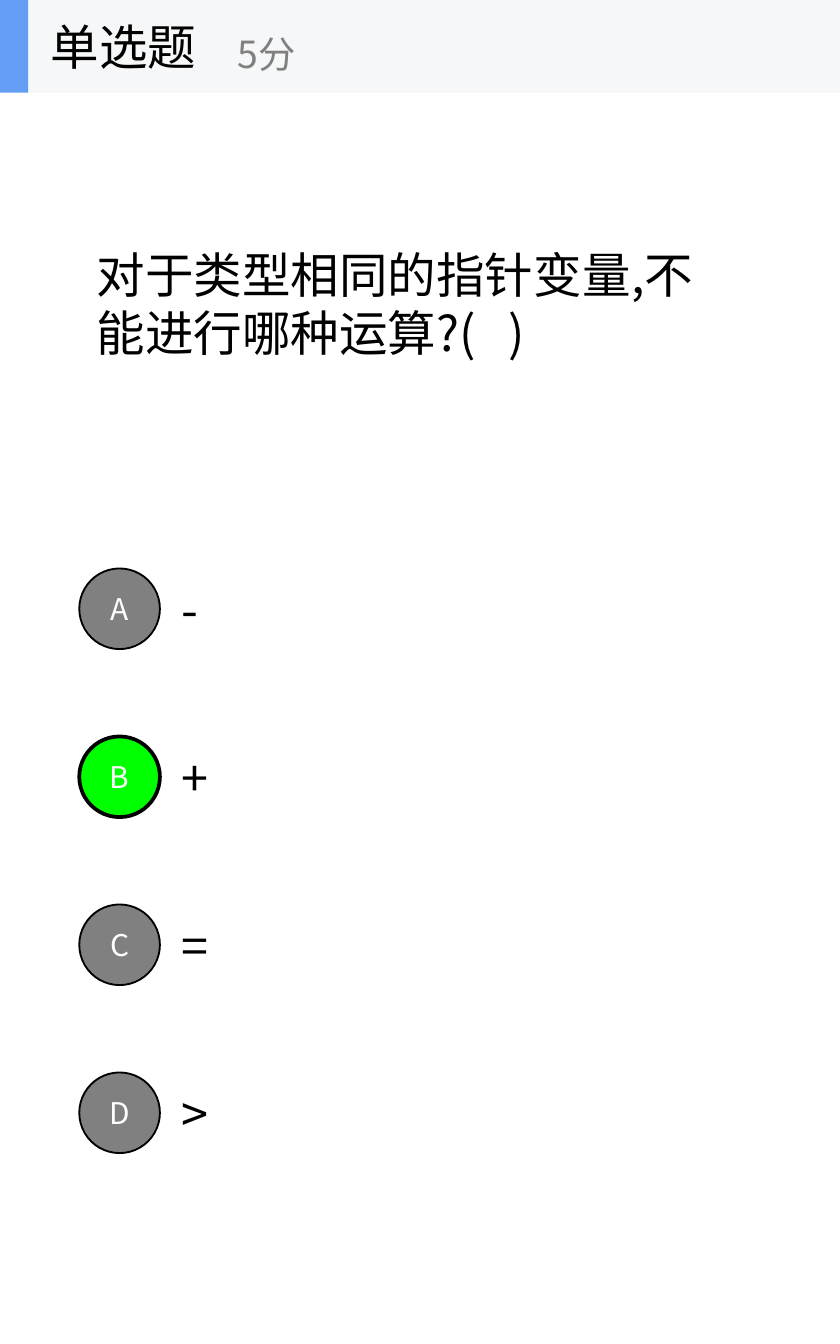
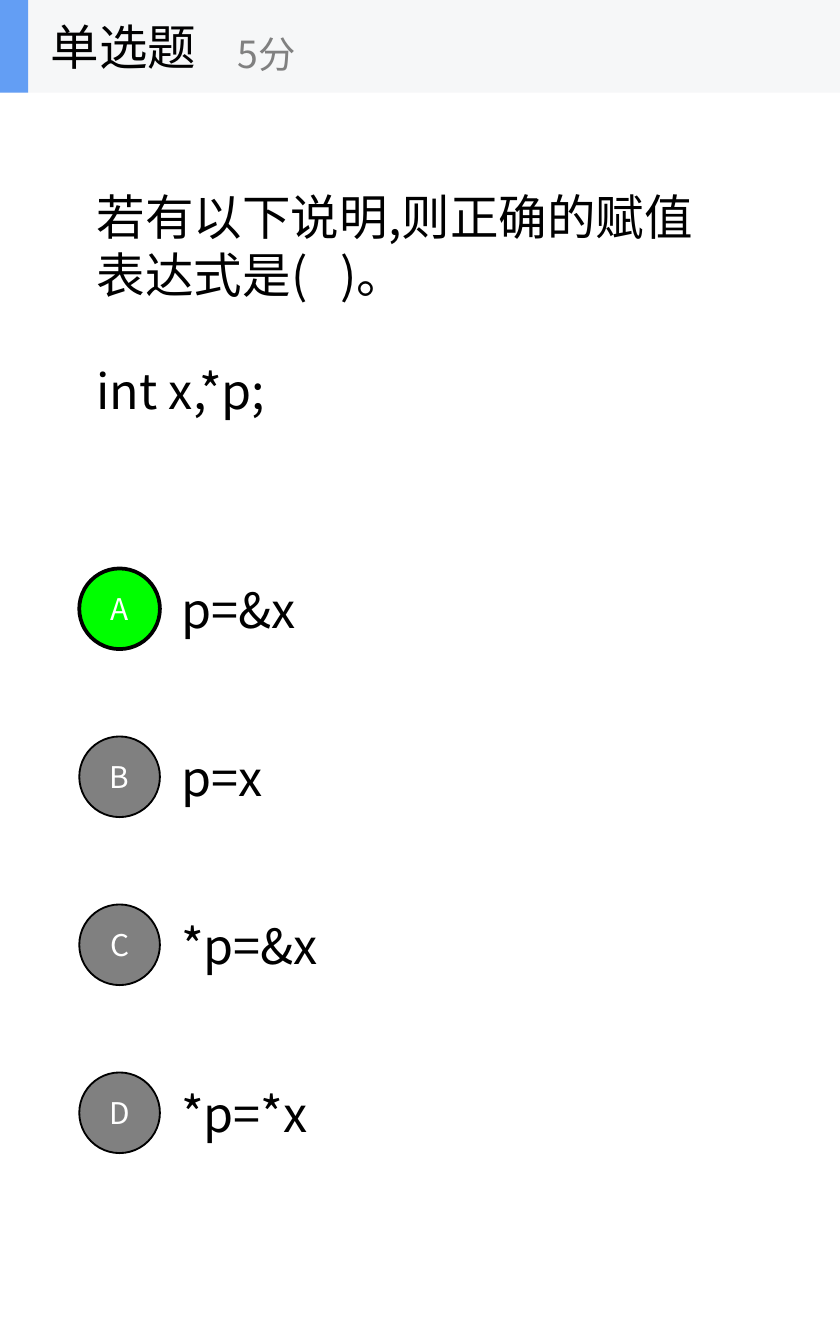
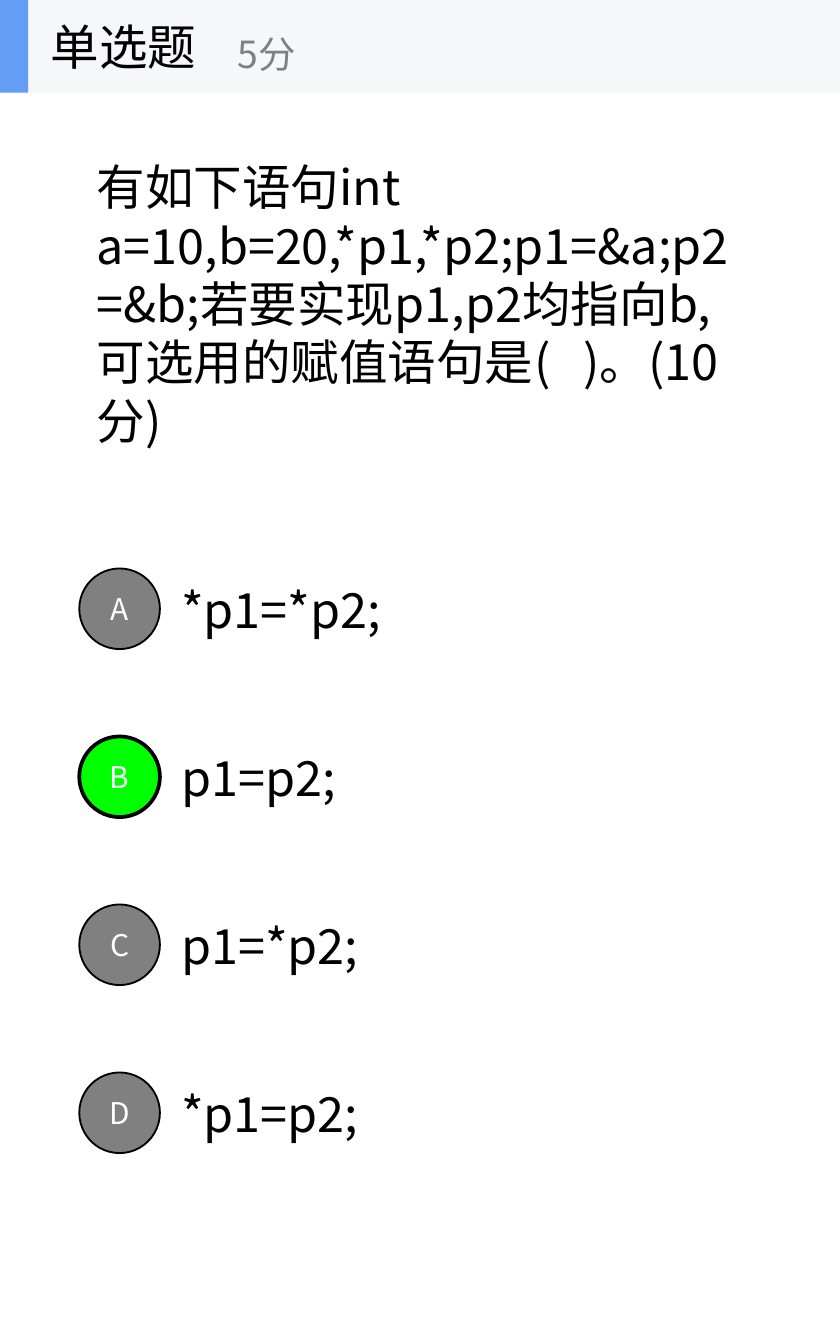
from typing import NamedTuple

from lxml.etree import SubElement
from pptx import Presentation
from pptx.dml.color import RGBColor
from pptx.enum.shapes import MSO_SHAPE as Preset
from pptx.enum.text import MSO_ANCHOR as Anchor, MSO_AUTO_SIZE as AutoSize, PP_ALIGN as Align
from pptx.oxml.ns import qn
from pptx.shapes.autoshape import Shape
from pptx.shapes.shapetree import GroupShapes
from pptx.slide import Slide
from pptx.util import Inches, Pt

FONT = "Noto Sans CJK SC"
BLACK, WHITE, GRAY = "000000", "FFFFFF", "808080"
BAND, ACCENT, CORRECT = "F6F7F8", "639EF4", "00FF00"
BODY_SIZE, POINTS_SIZE, LETTER_SIZE = 26, 20, 16
LINE_PITCH = Pt(31.2)

HEADER_HEIGHT = 0.69
FIRST_OPTION_TOP, OPTION_STEP = 4.23, 1.25
CIRCLE_LEFT, CIRCLE_SIZE = 0.59, 0.6
ANSWER_LEFT, ANSWER_HEIGHT = 1.25, 0.53


class Box(NamedTuple):
    left: float
    top: float
    width: float
    height: float

    def lengths(self) -> list[Inches]:
        return [Inches(side) for side in self]


class Option(NamedTuple):
    answer: str
    width: float


class Question(NamedTuple):
    paragraphs: list[str]
    box: Box
    options: list[Option]
    correct: str


QUESTIONS = [
    Question(
        ["对于类型相同的指针变量,不能进行哪种运算?(   )"],
        Box(0.62, 1.77, 4.98, 0.97),
        [Option("-", 0.46), Option("+", 0.57), Option("=", 0.57), Option(">", 0.57)],
        "B",
    ),
    Question(
        ["若有以下说明,则正确的赋值表达式是(   )。", "int x,*p;"],
        Box(0.62, 1.34, 4.98, 1.83),
        [Option("p=&x", 1.3), Option("p=x", 0.99), Option("*p=&x", 1.47), Option("*p=*x", 1.32)],
        "A",
    ),
    Question(
        ["有如下语句int a=10,b=20,*p1,*p2;p1=&a;p2=&b;"
         "若要实现p1,p2均指向b,可选用的赋值语句是(   )。(10分)"],
        Box(0.62, 1.12, 5, 2.27),
        [Option("*p1=*p2;", 1.88), Option("p1=p2;", 1.55),
         Option("p1=*p2;", 1.71), Option("*p1=p2;", 1.71)],
        "B",
    ),
]


def rgb(color: str) -> RGBColor:
    return RGBColor.from_string(color)


def write(shape: Shape, text: str, size: float, color: str) -> None:
    frame = shape.text_frame
    frame.text = text
    frame.vertical_anchor = Anchor.MIDDLE
    for paragraph in frame.paragraphs:
        for run in paragraph.runs:
            run.font.size = Pt(size)
            run.font.name = FONT
            run.font.color.rgb = rgb(color)
            # East Asian characters take their font from a:ea
            SubElement(run.font._element, qn("a:ea"), typeface=FONT)


def add_label(shapes: GroupShapes, box: Box, text: str, size: float = BODY_SIZE,
              color: str = BLACK, wrap: bool = True) -> Shape:
    label = shapes.add_textbox(*box.lengths())
    write(label, text, size, color)
    label.text_frame.word_wrap = wrap
    label.text_frame.auto_size = AutoSize.SHAPE_TO_FIT_TEXT if wrap else AutoSize.NONE
    return label


def add_filled(shapes: GroupShapes, preset: Preset, box: Box, fill: str) -> Shape:
    """Add a flat shape without outline."""
    shape = shapes.add_shape(preset, *box.lengths())
    shape.shadow.inherit = False
    shape.fill.solid()
    shape.fill.fore_color.rgb = rgb(fill)
    shape.line.fill.background()
    return shape


def add_question_text(slide: Slide, question: Question) -> None:
    label = add_label(slide.shapes, question.box, "\n".join(question.paragraphs))
    for index, paragraph in enumerate(label.text_frame.paragraphs):
        paragraph.line_spacing = LINE_PITCH
        if index:
            paragraph.space_before = LINE_PITCH


def add_option(slide: Slide, row: int, letter: str, option: Option, correct: bool) -> None:
    top = FIRST_OPTION_TOP + row * OPTION_STEP
    answer_top = top + (CIRCLE_SIZE - ANSWER_HEIGHT) / 2
    add_label(slide.shapes, Box(ANSWER_LEFT, answer_top, option.width, ANSWER_HEIGHT), option.answer)
    circle = add_filled(slide.shapes, Preset.OVAL, Box(CIRCLE_LEFT, top, CIRCLE_SIZE, CIRCLE_SIZE),
                        CORRECT if correct else GRAY)
    circle.line.color.rgb = rgb(BLACK)
    circle.line.width = Pt(2 if correct else 1)
    write(circle, letter, LETTER_SIZE, WHITE)
    circle.text_frame.paragraphs[0].alignment = Align.CENTER


def add_header(slide: Slide) -> None:
    header = slide.shapes.add_group_shape().shapes
    add_filled(header, Preset.RECTANGLE, Box(0, 0, 6.25, HEADER_HEIGHT), BAND)
    add_filled(header, Preset.RECTANGLE, Box(0, 0, 0.21, HEADER_HEIGHT), ACCENT)
    add_label(header, Box(0.28, 0, 2.08, HEADER_HEIGHT), "单选题", wrap=False)
    add_label(header, Box(1.67, 0.12, 2.5, 0.56), "5分", POINTS_SIZE, GRAY, wrap=False)


def main() -> None:
    deck = Presentation()
    deck.slide_width, deck.slide_height = Inches(6.25), Inches(10)
    for question in QUESTIONS:
        slide = deck.slides.add_slide(deck.slide_layouts[6])
        add_question_text(slide, question)
        for row, (letter, option) in enumerate(zip("ABCD", question.options)):
            add_option(slide, row, letter, option, letter == question.correct)
        add_header(slide)
    deck.save("out.pptx")


if __name__ == "__main__":
    main()
